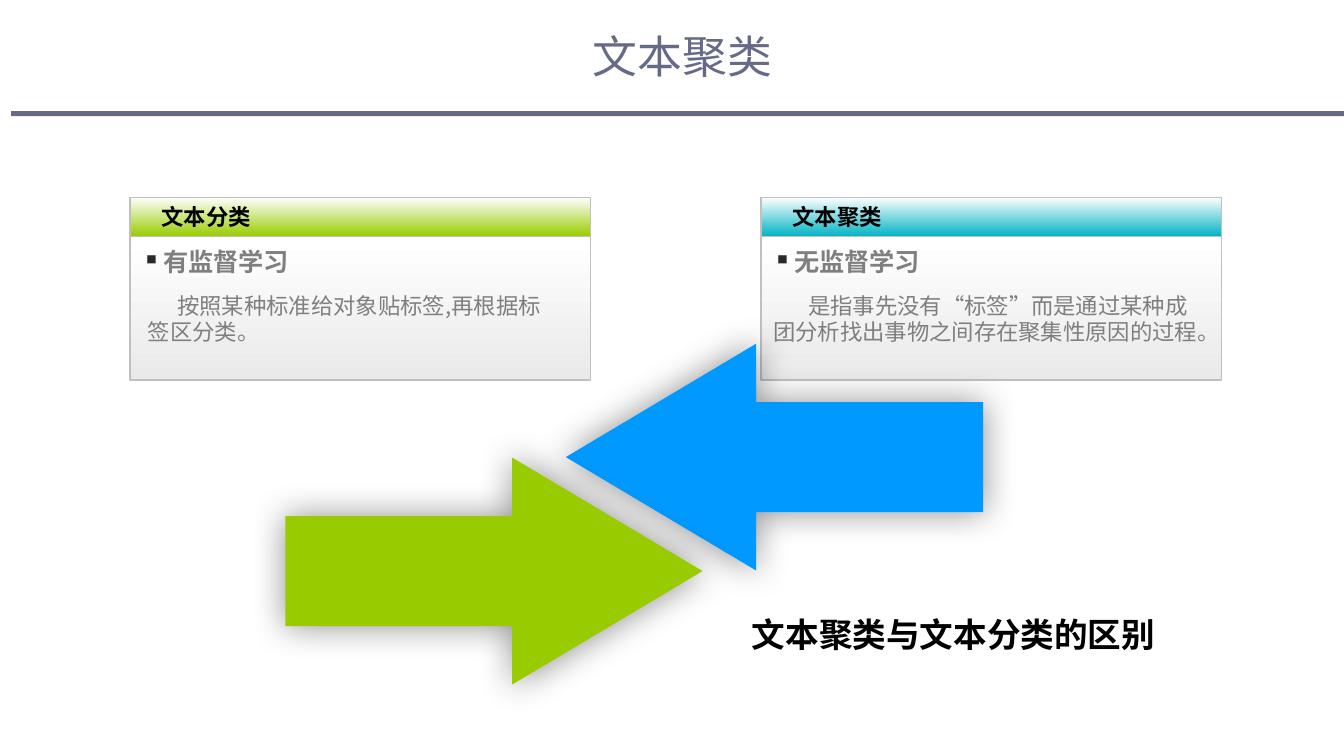
from dataclasses import dataclass

from lxml.etree import SubElement
from pptx import Presentation
from pptx.dml.color import RGBColor
from pptx.enum.shapes import MSO_SHAPE
from pptx.enum.text import MSO_ANCHOR, PP_ALIGN
from pptx.oxml.ns import qn
from pptx.util import Pt


@dataclass(frozen=True)
class Theme:
    font: str = "Noto Sans CJK SC"
    slate: str = "656B87"
    white: str = "FFFFFF"
    black: str = "000000"
    gray: str = "7F7F7F"
    bullet: str = "292929"
    border: str = "C0C0C0"
    panel: str = "EAEAEA"
    green: str = "99CC00"
    teal: str = "01B3C5"
    blue: str = "0099FF"
    title_size: int = 32
    caption_size: int = 24
    heading_size: int = 18
    text_size: int = 16


THEME = Theme()
SLIDE_WIDTH, SLIDE_HEIGHT = 960, 540


def style_paragraph(paragraph, size, color, bold=False):
    font = paragraph.font
    font.size = Pt(size)
    font.bold = bold
    font.color.rgb = RGBColor.from_string(color)
    font.name = THEME.font
    properties = paragraph._p.get_or_add_pPr().find(qn("a:defRPr"))
    SubElement(properties, qn("a:ea"), typeface=THEME.font)


def set_frame(frame, insets=(0, 0, 0, 0), anchor=MSO_ANCHOR.TOP):
    frame.word_wrap = True
    frame.vertical_anchor = anchor
    frame.margin_left, frame.margin_top, frame.margin_right, frame.margin_bottom = map(Pt, insets)


def indent(paragraph, margin, first_line):
    properties = paragraph._p.get_or_add_pPr()
    properties.set("marL", str(Pt(margin)))
    properties.set("indent", str(Pt(first_line)))
    return properties


def add_block(slide, kind, box, color):
    shape = slide.shapes.add_shape(kind, *map(Pt, box))
    shape.shadow.inherit = False
    shape.fill.solid()
    shape.fill.fore_color.rgb = RGBColor.from_string(color)
    shape.line.fill.background()
    return shape


def add_gradient_box(slide, box, color):
    shape = add_block(slide, MSO_SHAPE.RECTANGLE, box, color)
    shape.fill.gradient()
    shape.fill.gradient_angle = 270
    for stop, stop_color, position in zip(shape.fill.gradient_stops, (THEME.white, color), (0, 1)):
        stop.color.rgb = RGBColor.from_string(stop_color)
        stop.position = position
    shape.line.color.rgb = RGBColor.from_string(THEME.border)
    shape.line.width = Pt(1)
    return shape


def add_header(slide, text, box):
    left, top, width, height = box
    title = slide.shapes.title
    title.left, title.top, title.width, title.height = map(Pt, (left + 351, top, 257, 38))
    set_frame(title.text_frame, anchor=MSO_ANCHOR.MIDDLE)
    paragraph = title.text_frame.paragraphs[0]
    paragraph.text = text
    paragraph.alignment = PP_ALIGN.CENTER
    style_paragraph(paragraph, THEME.title_size, THEME.slate)
    rule_height = 3.6
    add_block(slide, MSO_SHAPE.RECTANGLE,
              (left, top + height - rule_height, width, rule_height), THEME.slate)


def add_panel(slide, box, color, label, heading, description, margin):
    left, top, width, height = box
    label_height = 28

    body = add_gradient_box(slide, (left, top + label_height, width, height - label_height), THEME.panel)
    frame = body.text_frame
    set_frame(frame, (8.6, 8.6, 11.5, 5.8))
    first, second = frame.paragraphs[0], frame.add_paragraph()
    first.text, second.text = heading, description
    for paragraph in (first, second):
        paragraph.alignment = PP_ALIGN.LEFT
        paragraph.line_spacing = 0.95
        paragraph.space_after = Pt(6)
    second.space_before = Pt(6)

    properties = indent(first, 15, -15)
    bullet_color = SubElement(properties, qn("a:buClr"))
    SubElement(bullet_color, qn("a:srgbClr"), val=THEME.bullet)
    SubElement(properties, qn("a:buChar"), char="▪")
    indent(second, margin, 25 - margin)
    style_paragraph(first, THEME.heading_size, THEME.gray, True)
    style_paragraph(second, THEME.text_size, THEME.gray)

    header = add_gradient_box(slide, (left, top, width, label_height), color)
    set_frame(header.text_frame, (22.5, 0, 0, 0), MSO_ANCHOR.MIDDLE)
    paragraph = header.text_frame.paragraphs[0]
    paragraph.text = label
    paragraph.alignment = PP_ALIGN.LEFT
    style_paragraph(paragraph, THEME.text_size, THEME.black, True)


def add_arrow(slide, kind, box, color):
    arrow = add_block(slide, kind, box, color)
    arrow.adjustments[0] = 0.485
    arrow.adjustments[1] = 0.839
    effects = arrow._element.spPr.find(qn("a:effectLst"))
    shadow = SubElement(effects, qn("a:outerShdw"), blurRad=str(Pt(25)), dist="0",
                        dir="2700000", algn="ctr", rotWithShape="0")
    shadow_color = SubElement(shadow, qn("a:srgbClr"), val=THEME.black)
    SubElement(shadow_color, qn("a:alpha"), val="43000")


def add_arrows(slide, box):
    left, top, width, height = box
    arrow_width, arrow_height = 298, 162
    add_arrow(slide, MSO_SHAPE.LEFT_ARROW,
              (left + width - arrow_width, top, arrow_width, arrow_height), THEME.blue)
    add_arrow(slide, MSO_SHAPE.RIGHT_ARROW,
              (left, top + height - arrow_height, arrow_width, arrow_height), THEME.green)


def add_caption(slide, text, box):
    caption = slide.shapes.add_textbox(*map(Pt, box))
    set_frame(caption.text_frame, (0, 3.6, 0, 3.6))
    paragraph = caption.text_frame.paragraphs[0]
    paragraph.text = text
    paragraph.alignment = PP_ALIGN.RIGHT
    paragraph.line_spacing = 0.95
    style_paragraph(paragraph, THEME.caption_size, THEME.black, True)


def build_comparison_slide(presentation):
    slide = presentation.slides.add_slide(presentation.slide_layouts[5])
    add_header(slide, "文本聚类", (8, 21, SLIDE_WIDTH - 8, 62))
    panels = (
        (THEME.green, "文本分类", "有监督学习",
         "按照某种标准给对象贴标签,再根据标\v签区分类。", 4),
        (THEME.teal, "文本聚类", "无监督学习",
         "是指事先没有“标签”而是通过某种成团分析找出事物之间存在聚集性原因的过程。", 0),
    )
    for index, panel in enumerate(panels):
        add_panel(slide, (93 + index * 450.7, 141, 329, 130.4), *panel)
    add_arrows(slide, (203.8, 245.5, 498.4, 243.4))
    add_caption(slide, "文本聚类与文本分类的区别", (495, 437, 330, 35))


def main():
    presentation = Presentation()
    presentation.slide_width = Pt(SLIDE_WIDTH)
    presentation.slide_height = Pt(SLIDE_HEIGHT)
    build_comparison_slide(presentation)
    presentation.save("out.pptx")


if __name__ == "__main__":
    main()
